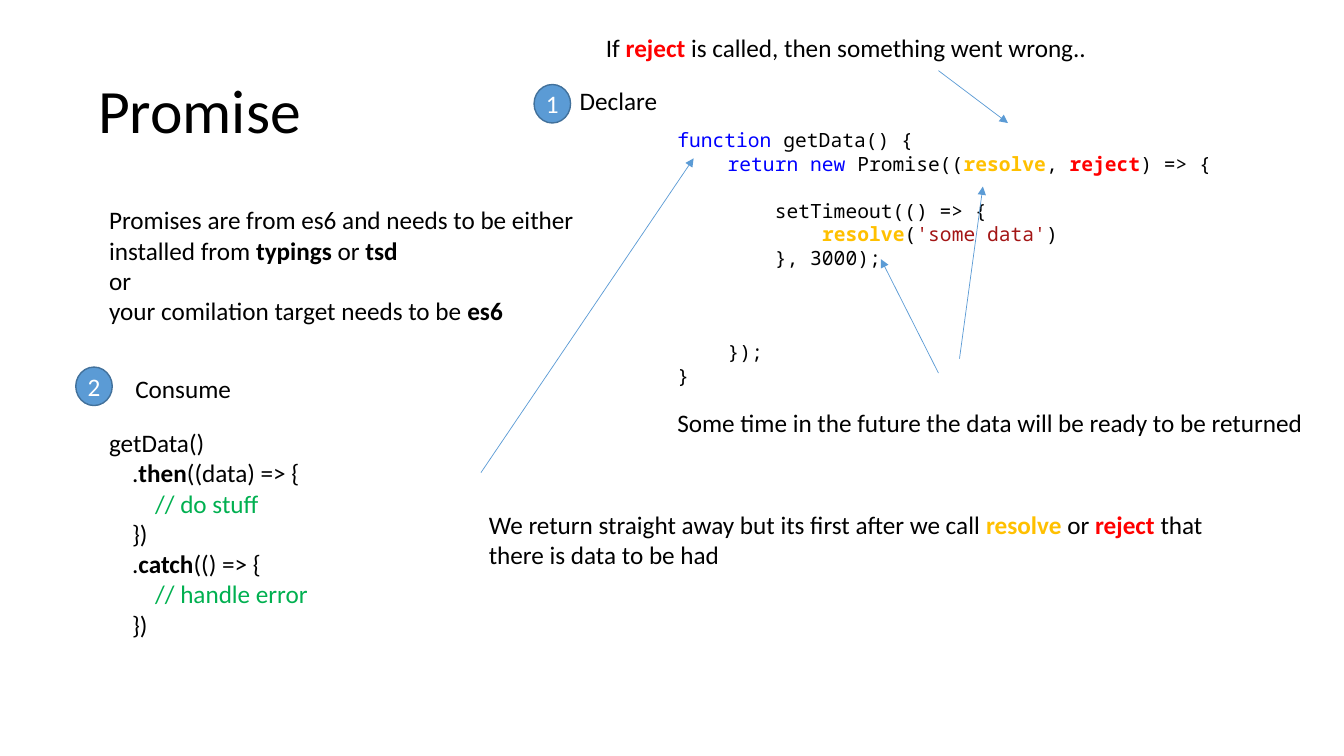
from dataclasses import dataclass

from lxml import etree
from pptx import Presentation
from pptx.dml.color import RGBColor
from pptx.enum.shapes import MSO_CONNECTOR, MSO_SHAPE
from pptx.enum.text import MSO_ANCHOR, MSO_AUTO_SIZE, PP_ALIGN
from pptx.oxml.ns import qn
from pptx.util import Cm, Pt

BLACK = RGBColor(0x00, 0x00, 0x00)
WHITE = RGBColor(0xFF, 0xFF, 0xFF)
BLUE = RGBColor(0x5B, 0x9B, 0xD5)
DARK_BLUE = RGBColor(0x42, 0x71, 0x9B)
KEYWORD = RGBColor(0x00, 0x00, 0xFF)
GOLD = RGBColor(0xFF, 0xC0, 0x00)
RED = RGBColor(0xFF, 0x00, 0x00)
STRING = RGBColor(0xA3, 0x15, 0x15)
GREEN = RGBColor(0x00, 0xB0, 0x50)

BODY_FONT = "Calibri"
CODE_FONT = "Noto Sans Mono"
STRAIGHT = MSO_CONNECTOR.STRAIGHT
OVAL = MSO_SHAPE.OVAL
TOP, MIDDLE = MSO_ANCHOR.TOP, MSO_ANCHOR.MIDDLE
LEFT, CENTER = PP_ALIGN.LEFT, PP_ALIGN.CENTER
GROW, FIXED = MSO_AUTO_SIZE.SHAPE_TO_FIT_TEXT, MSO_AUTO_SIZE.NONE

INSET = 0.13
CODE_LINE = 16.8  # points from one code line to the next
CODE_LEVEL = 1.27
CODE_TAB = 1.19
CALL_TAB = 0.58


@dataclass(frozen=True)
class Span:
    """A stretch of text in one format."""
    text: str
    color: RGBColor = BLACK
    bold: bool = False


@dataclass(frozen=True)
class Line:
    """A paragraph with its indent in cm and the space above in points."""
    spans: tuple[Span, ...]
    indent: float = 0
    before: float = 0


@dataclass(frozen=True)
class TextBlock:
    """A text box placed in cm."""
    left: float
    top: float
    width: float
    height: float
    lines: tuple[Line, ...]
    font: str = BODY_FONT
    size: float = 18


@dataclass(frozen=True)
class Arrow:
    """An arrow from a start to an end point, in cm."""
    start: tuple[float, float]
    end: tuple[float, float]


@dataclass(frozen=True)
class Badge:
    """A numbered circle placed in cm."""
    number: str
    left: float
    top: float


def line(*parts: str | Span, indent: float = 0, before: float = 0) -> Line:
    """Make a line, taking bare strings as plain black text."""
    spans = tuple(Span(part) if isinstance(part, str) else part for part in parts)
    return Line(spans, indent, before)


def bold(text: str, color: RGBColor = BLACK) -> Span:
    """Make a bold span."""
    return Span(text, color, True)


def write_lines(frame, lines, *, font=BODY_FONT, size=18, align=LEFT,
                anchor=TOP, auto_size=GROW, spacing=None) -> None:
    """Fill a text frame with formatted lines."""
    frame.word_wrap = True
    frame.auto_size = auto_size
    frame.vertical_anchor = anchor
    frame.margin_left = frame.margin_right = Cm(INSET)
    frame.margin_top = frame.margin_bottom = Cm(INSET)
    for index, item in enumerate(lines):
        para = frame.add_paragraph() if index else frame.paragraphs[0]
        para.alignment = align
        para.space_before = Pt(item.before)
        para.line_spacing = spacing
        if item.indent:
            para._p.get_or_add_pPr().set("marL", str(Cm(item.indent)))
        for span in item.spans:
            run = para.add_run()
            run.text = span.text
            run.font.name = font
            run.font.size = Pt(size)
            run.font.bold = span.bold
            run.font.color.rgb = span.color


def add_text(page, block: TextBlock) -> None:
    """Draw a text block."""
    box = page.shapes.add_textbox(Cm(block.left), Cm(block.top),
                                  Cm(block.width), Cm(block.height))
    write_lines(box.text_frame, block.lines, font=block.font, size=block.size)


def add_arrow(page, arrow: Arrow) -> None:
    """Draw a thin blue arrow."""
    points = [Cm(value) for value in arrow.start + arrow.end]
    connector = page.shapes.add_connector(STRAIGHT, *points)
    connector.line.color.rgb = BLUE
    connector.line.width = Pt(0.5)
    outline = connector.line._get_or_add_ln()
    etree.SubElement(outline, qn("a:tailEnd"), type="triangle")
    etree.SubElement(connector._element.spPr, qn("a:effectLst"))


def add_badge(page, badge: Badge) -> None:
    """Draw a circle and its number as one group."""
    group = page.shapes.add_group_shape()
    circle = group.shapes.add_shape(OVAL, Cm(badge.left), Cm(badge.top), Cm(0.92), Cm(0.97))
    circle.shadow.inherit = False
    circle.fill.solid()
    circle.fill.fore_color.rgb = BLUE
    circle.line.color.rgb = DARK_BLUE
    circle.line.width = Pt(1)
    box = group.shapes.add_textbox(Cm(badge.left + 0.13), Cm(badge.top - 0.01),
                                   Cm(0.66), Cm(0.99))
    write_lines(box.text_frame, [line(Span(badge.number, WHITE))],
                align=CENTER, anchor=MIDDLE)


def add_title(page, text: str) -> None:
    """Place and format the title placeholder."""
    title = page.shapes.title
    title.left, title.top = Cm(2.34), Cm(1.02)
    title.width, title.height = Cm(29.21), Cm(3.68)
    write_lines(title.text_frame, [line(text)], size=44, anchor=MIDDLE,
                auto_size=FIXED, spacing=0.9)


TEXTS = (
    TextBlock(2.62, 5.03, 13.59, 3.23, (
        line("Promises are from es6 and needs to be either"),
        line("installed from ", bold("typings"), " or ", bold("tsd")),
        line("or"),
        line("your comilation target needs to be ", bold("es6")))),
    TextBlock(16.94, 3.1, 16.94, 6.86, (
        line(Span("function ", KEYWORD), "getData() {"),
        line(Span("return new", KEYWORD), " Promise((", bold("resolve", GOLD), ", ",
             bold("reject", RED), ") => {", indent=CODE_LEVEL),
        line("setTimeout(() => {", indent=CODE_LEVEL + CODE_TAB, before=CODE_LINE),
        line(bold("resolve", GOLD), "(", Span("'some data'", STRING), ")",
             indent=CODE_LEVEL + 2 * CODE_TAB),
        line("}, 3000);", indent=CODE_LEVEL + CODE_TAB),
        line("});", indent=CODE_LEVEL, before=3 * CODE_LINE),
        line("}")), CODE_FONT, 14),
    TextBlock(16.94, 10.13, 17.98, 0.99, (
        line("Some time in the future the data will be ready to be returned"),)),
    TextBlock(12.19, 12.7, 21.06, 1.73, (
        line("We return straight away but its first after we call ",
             bold("resolve ", GOLD), "or ", bold("reject ", RED), "that"),
        line("there is data to be had"))),
    TextBlock(15.14, 0.69, 14.07, 0.99, (
        line("If ", bold("reject ", RED), "is called, then something went wrong.."),)),
    TextBlock(2.62, 10.64, 16.94, 5.44, (
        line("getData()"),
        line(".", bold("then"), "((data) => {", indent=CALL_TAB),
        line(Span("// do stuff", GREEN), indent=2 * CALL_TAB),
        line("})", indent=CALL_TAB),
        line(".", bold("catch"), "(() => {", indent=CALL_TAB),
        line(Span("// handle error", GREEN), indent=2 * CALL_TAB),
        line("})", indent=CALL_TAB))),
    TextBlock(3.28, 9.27, 2.84, 0.99, (line("Consume"),)),
    TextBlock(14.48, 2.03, 2.46, 0.99, (line("Declare"),)),
)
ARROWS = (
    Arrow((23.65, 9.4), (22.2, 6.53)),
    Arrow((24.18, 9.04), (24.77, 4.7)),
    Arrow((12.12, 11.91), (17.48, 3.99)),
    Arrow((23.65, 1.78), (25.4, 3.1)),
)
BADGES = (Badge("1", 13.46, 2.13), Badge("2", 1.91, 9.25))

deck = Presentation()
deck.slide_width, deck.slide_height = Cm(33.87), Cm(19.05)
page = deck.slides.add_slide(deck.slide_layouts[5])
add_title(page, "Promise")
for text_block in TEXTS:
    add_text(page, text_block)
for pointer in ARROWS:
    add_arrow(page, pointer)
for step in BADGES:
    add_badge(page, step)
deck.save("out.pptx")
